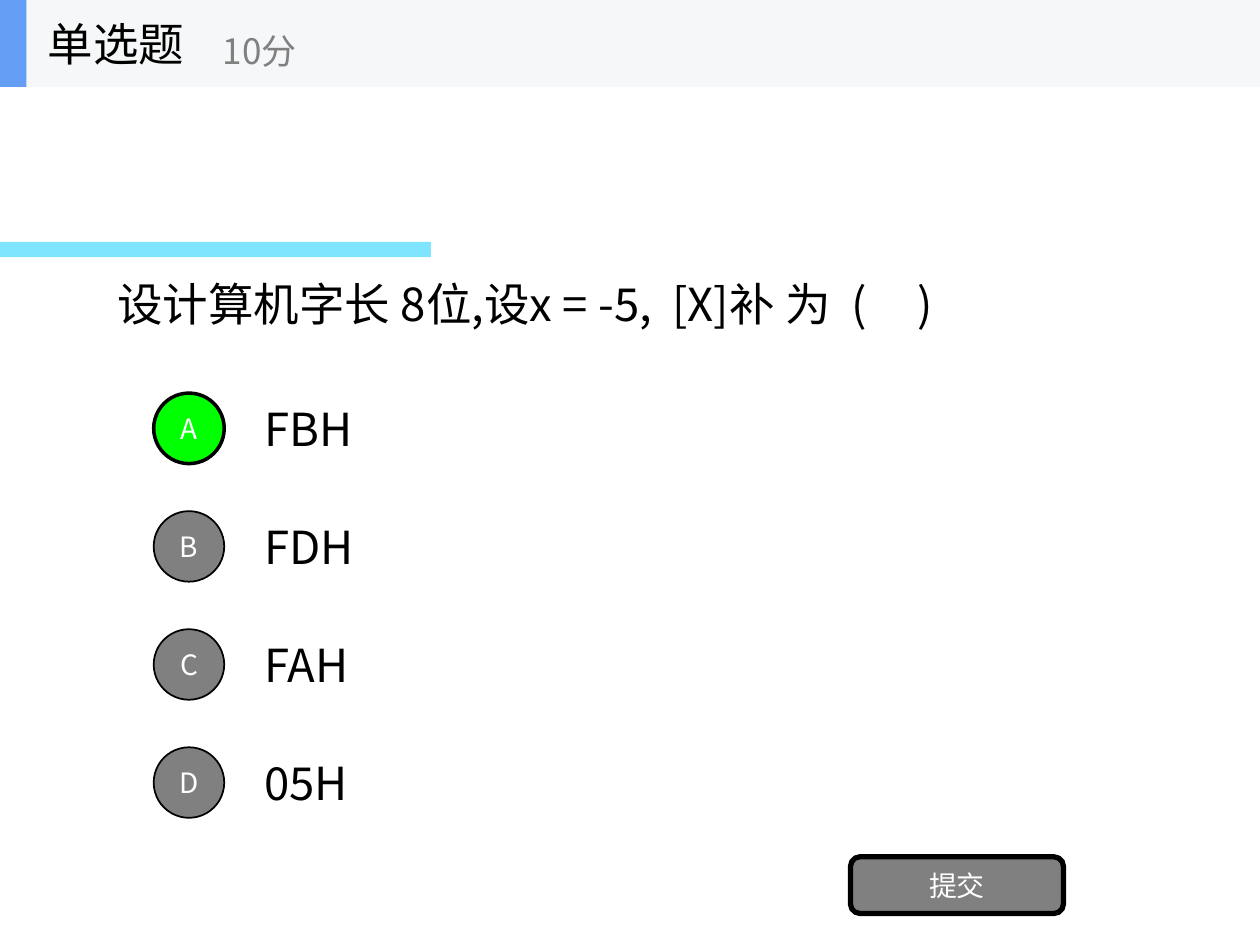
from lxml.etree import SubElement
from pptx import Presentation
from pptx.dml.color import RGBColor
from pptx.enum.shapes import MSO_SHAPE
from pptx.enum.text import MSO_ANCHOR, MSO_AUTO_SIZE, PP_ALIGN
from pptx.oxml.ns import qn
from pptx.util import Inches, Pt

FONT = "Noto Sans CJK SC"
HEX = {"black": "000000", "white": "FFFFFF", "gray": "808080", "green": "00FF00",
       "cyan": "00CCFF", "bar": "F6F7F8", "blue": "639EF4"}
RGB = {name: RGBColor.from_string(code) for name, code in HEX.items()}


def write(shape, text, size, color, align=PP_ALIGN.LEFT, wrap=True):
    frame = shape.text_frame
    frame.text = text
    frame.word_wrap = wrap
    frame.auto_size = MSO_AUTO_SIZE.NONE
    frame.vertical_anchor = MSO_ANCHOR.MIDDLE
    par = frame.paragraphs[0]
    par.alignment = align
    for run in par.runs:
        run.font.size = Pt(size)
        run.font.name = FONT
        run.font.color.rgb = RGB[color]
        SubElement(run.font._element, qn("a:ea")).set("typeface", FONT)


def draw(kind, box, fill, line=0, text=""):
    """Add a filled shape; a line of 0 points means no outline."""
    shape = slide.shapes.add_shape(kind, *map(Inches, box))
    shape.shadow.inherit = False
    shape.fill.solid()
    shape.fill.fore_color.rgb = RGB[fill]
    if line:
        shape.line.color.rgb = RGB["black"]
        shape.line.width = Pt(line)
    else:
        shape.line.fill.background()
    if text:
        write(shape, text, 16, "white", PP_ALIGN.CENTER, False)
    return shape


deck = Presentation()
deck.slide_width, deck.slide_height = Inches(10), Inches(7.5)
slide = deck.slides.add_slide(deck.slide_layouts[5])

# Question
title = slide.shapes.title
title.left, title.top = Inches(0.83), Inches(2.14)
title.width, title.height = Inches(7.78), Inches(0.54)
write(title, "设计算机字长 8位,设x = -5,  [X]补 为  (     )", 26, "black")

accent = draw(MSO_SHAPE.RECTANGLE, (0, 1.92, 3.42, 0.12), "cyan")
color = accent.fill._xPr.find(".//" + qn("a:srgbClr"))
SubElement(color, qn("a:alpha")).set("val", "50000")

# Answers, the right one in green
for row, (mark, answer) in enumerate(zip("ABCD", ["FBH", "FDH", "FAH", "05H"])):
    top = 3.12 + row * 0.937
    right = mark == "A"
    label = slide.shapes.add_textbox(Inches(2), Inches(top + 0.01), Inches(1.05), Inches(0.54))
    write(label, answer, 26, "black")
    draw(MSO_SHAPE.OVAL, (1.22, top, 0.56, 0.56),
         "green" if right else "gray", 2 if right else 1, mark)

draw(MSO_SHAPE.ROUNDED_RECTANGLE, (6.75, 6.8, 1.69, 0.45), "gray", 3, "提交")

# Header
draw(MSO_SHAPE.RECTANGLE, (0, 0, 10, 0.69), "bar")
draw(MSO_SHAPE.RECTANGLE, (0, 0, 0.21, 0.69), "blue")
for box, text, size, tone in [((0.28, 0, 2.08, 0.69), "单选题", 26, "black"),
                              ((1.67, 0.12, 2.5, 0.56), "10分", 20, "gray")]:
    head = slide.shapes.add_textbox(*map(Inches, box))
    write(head, text, size, tone)

deck.save("out.pptx")
